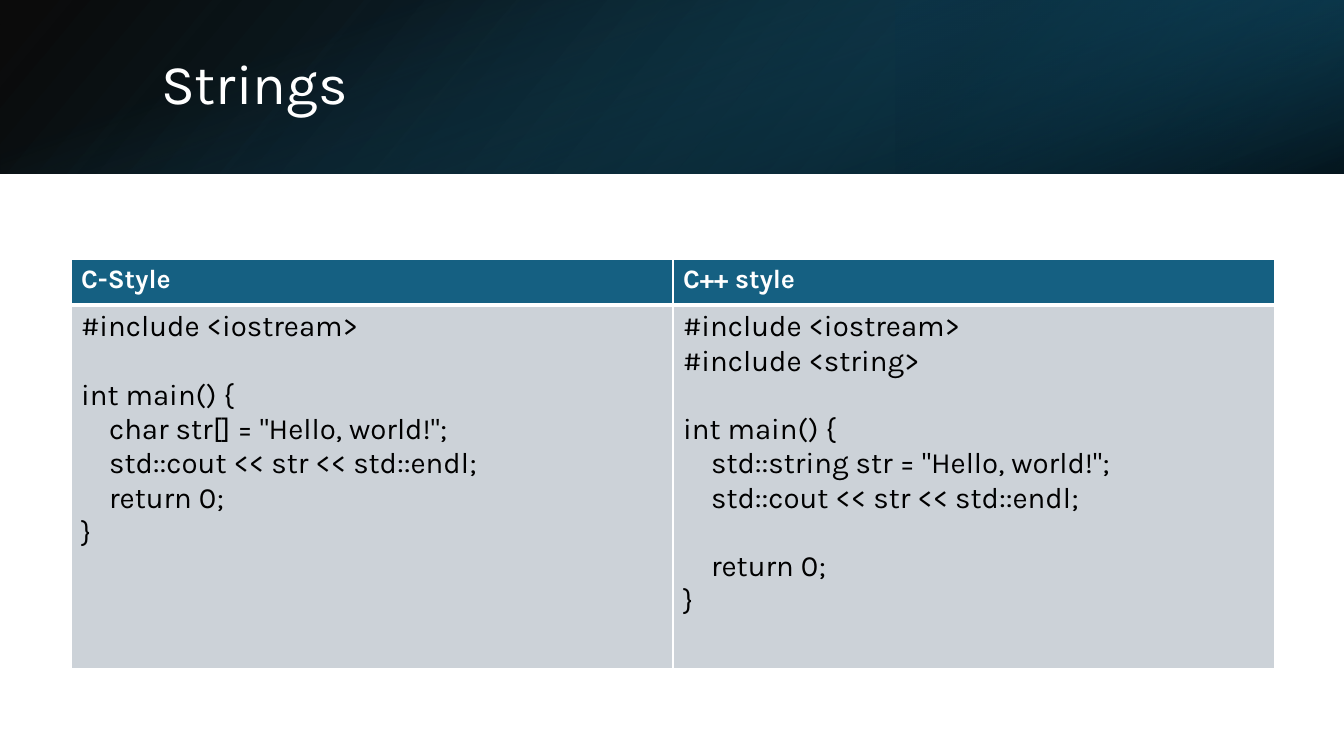
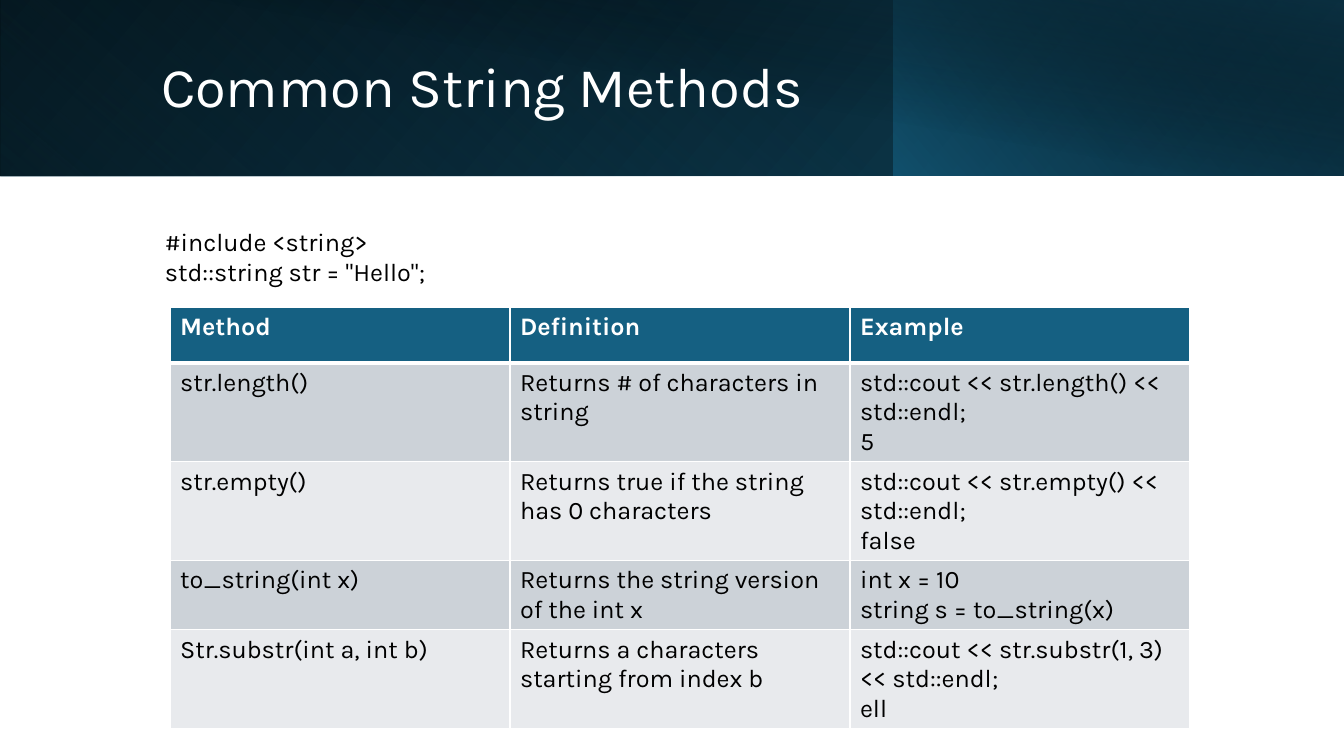
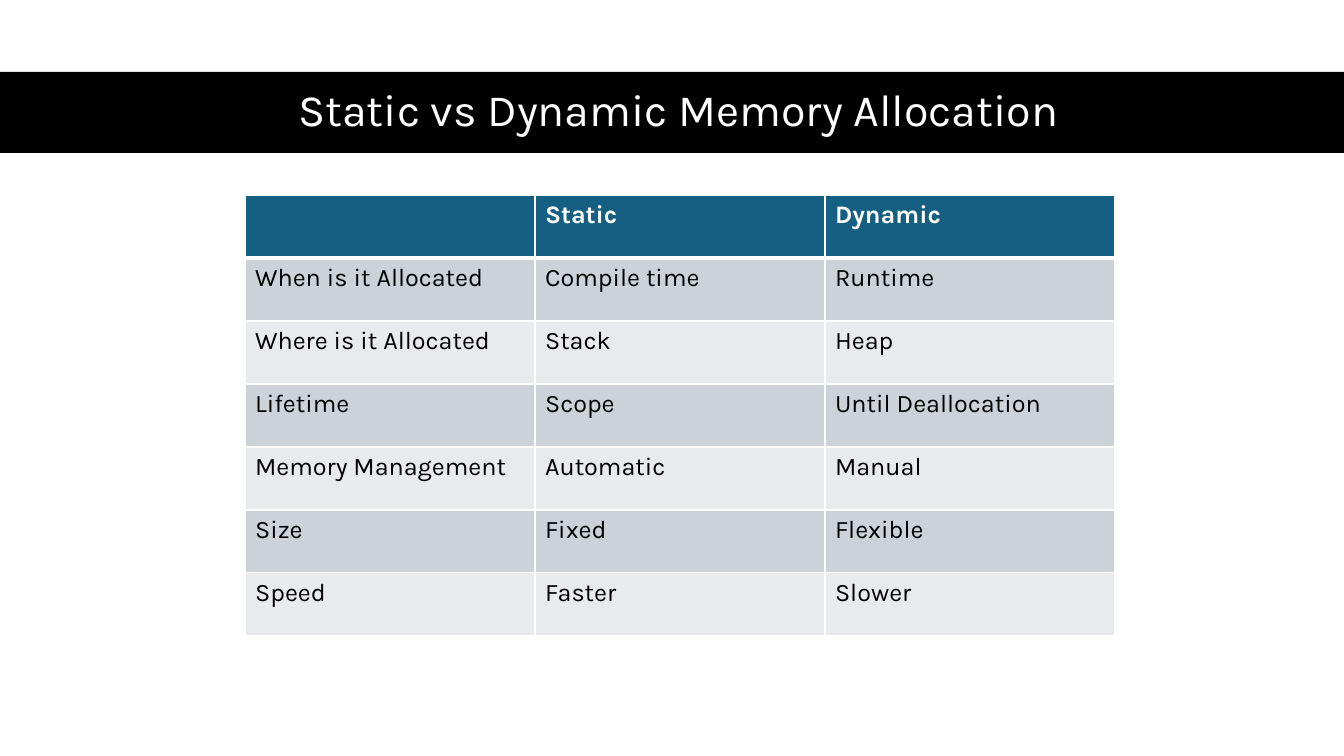
from dataclasses import dataclass
from typing import NamedTuple

from lxml import etree
from pptx import Presentation
from pptx import util as u
from pptx.dml.color import RGBColor
from pptx.enum import shapes, text
from pptx.oxml.ns import qn

PX = 914400 / 100.8
FONT = "Karla"
WHITE = RGBColor(0xFF, 0xFF, 0xFF)
BLACK = RGBColor(0x00, 0x00, 0x00)
TEAL = RGBColor(0x15, 0x60, 0x82)
DARK_TEAL = RGBColor(0x10, 0x48, 0x62)
NIGHT = RGBColor(0x0B, 0x30, 0x41)
ROW_FILLS = (RGBColor(0xCC, 0xD2, 0xD8), RGBColor(0xE8, 0xEA, 0xED))
CODE_INDENT = 28
CODE_GAP = 34
THIN, THICK = 1, 3


class Box(NamedTuple):
    left: int
    top: int
    width: int
    height: int


class Stop(NamedTuple):
    position: int
    color: RGBColor
    opacity: int = 100


class Line(NamedTuple):
    text: str
    indented: bool = False
    gap: bool = False


Cell = str | tuple[Line, ...]


@dataclass(frozen=True)
class Band:
    box: Box
    stops: tuple[Stop, ...]
    angle: int = 0
    rotation: int = 0
    flipped: bool = False


@dataclass(frozen=True)
class Title:
    text: str
    box: Box
    size: int = 40
    alignment: text.PP_ALIGN = text.PP_ALIGN.LEFT


@dataclass(frozen=True)
class Grid:
    left: int
    top: int
    column_width: int
    row_heights: tuple[int, ...]
    rows: tuple[tuple[Cell, ...], ...]
    header_size: int = 18
    body_size: int = 18


@dataclass(frozen=True)
class Page:
    title: Title
    bands: tuple[Band, ...]
    grid: Grid


def px(length: int) -> u.Emu:
    return u.Emu(round(length * PX))


def place(shape, box: Box) -> None:
    shape.left, shape.top, shape.width, shape.height = map(px, box)


def write(frame, content: Cell, size: int, color: RGBColor, bold: bool = False) -> None:
    lines = (Line(content),) if isinstance(content, str) else content
    for index, line in enumerate(lines):
        paragraph = frame.add_paragraph() if index else frame.paragraphs[0]
        paragraph.text = line.text
        font = paragraph.font
        font.name, font.size, font.bold = FONT, u.Pt(size), bold
        font.color.rgb = color
        if line.gap:
            paragraph.space_before = px(CODE_GAP)
        if line.indented:
            paragraph._p.get_or_add_pPr().set("marL", str(px(CODE_INDENT)))


def add_band(slide, band: Band) -> None:
    shape = slide.shapes.add_shape(shapes.MSO_SHAPE.RECTANGLE, *map(px, band.box))
    shape.shadow.inherit = False
    shape.line.fill.background()
    shape.rotation = band.rotation
    properties = shape._element.spPr
    if band.flipped:
        properties.find(qn("a:xfrm")).set("flipH", "1")
    if len(band.stops) == 1:
        shape.fill.solid()
        shape.fill.fore_color.rgb = band.stops[0].color
        return
    shape.fill.gradient()
    shape.fill.gradient_angle = 360 - band.angle
    for target, stop in zip(shape.fill.gradient_stops, band.stops):
        target.position = stop.position / 100
        target.color.rgb = stop.color
    colors = properties.find(qn("a:gradFill")).iter(qn("a:srgbClr"))
    for color, stop in zip(colors, band.stops):
        etree.SubElement(color, qn("a:alpha"), val=str(stop.opacity * 1000))


def add_title(slide, title: Title) -> None:
    shape = slide.shapes.title
    slide.shapes._spTree.append(shape._element)
    place(shape, title.box)
    frame = shape.text_frame
    frame.word_wrap = True
    frame.auto_size = text.MSO_AUTO_SIZE.NONE
    frame.vertical_anchor = text.MSO_ANCHOR.MIDDLE
    write(frame, title.text, title.size, WHITE)
    frame.paragraphs[0].alignment = title.alignment
    frame.paragraphs[0].line_spacing = 0.9


def add_border(cell, side: str, width: int) -> None:
    border = etree.SubElement(
        cell._tc.get_or_add_tcPr(), qn(f"a:ln{side}"), w=str(u.Pt(width))
    )
    fill = etree.SubElement(border, qn("a:solidFill"))
    etree.SubElement(fill, qn("a:srgbClr"), val=str(WHITE))


def add_grid(slide, grid: Grid) -> None:
    columns = len(grid.rows[0])
    box = Box(grid.left, grid.top, grid.column_width * columns, sum(grid.row_heights))
    table = slide.shapes.add_table(len(grid.rows), columns, *map(px, box)).table
    for column in table.columns:
        column.width = px(grid.column_width)
    for row_index, contents in enumerate(grid.rows):
        table.rows[row_index].height = px(grid.row_heights[row_index])
        header = row_index == 0
        for column_index, content in enumerate(contents):
            cell = table.cell(row_index, column_index)
            for side in "LRTB":
                thick = (header and side == "B") or (row_index == 1 and side == "T")
                add_border(cell, side, THICK if thick else THIN)
            cell.fill.solid()
            cell.fill.fore_color.rgb = TEAL if header else ROW_FILLS[(row_index - 1) % 2]
            size = grid.header_size if header else grid.body_size
            write(cell.text_frame, content, size, WHITE if header else BLACK, header)


def add_note(slide, box: Box, lines: tuple[Line, ...]) -> None:
    frame = slide.shapes.add_textbox(*map(px, box)).text_frame
    frame.word_wrap = True
    write(frame, lines, 18, BLACK)


def add_page(presentation, page: Page):
    slide = presentation.slides.add_slide(presentation.slide_layouts[5])
    for band in page.bands:
        add_band(slide, band)
    add_title(slide, page.title)
    add_grid(slide, page.grid)
    return slide


STRINGS = Page(
    Title("Strings", Box(151, 38, 1107, 97)),
    (
        Band(Box(0, 0, 1344, 174), (Stop(0, BLACK, 96), Stop(100, DARK_TEAL)), 140, flipped=True),
        Band(Box(896, 0, 448, 174), (Stop(19, NIGHT, 68), Stop(100, TEAL, 79)), 320, 180, True),
        Band(Box(585, -585, 174, 1344), (Stop(23, TEAL, 0), Stop(99, BLACK, 74)), 340, 90),
    ),
    Grid(
        71, 259, 602, (46, 364),
        (
            ("C-Style", "C++ style"),
            (
                (
                    Line("#include <iostream>"),
                    Line("int main() {", gap=True),
                    Line('char str[] = "Hello, world!";', indented=True),
                    Line("std::cout << str << std::endl;", indented=True),
                    Line("return 0;", indented=True),
                    Line("}"),
                ),
                (
                    Line("#include <iostream>"),
                    Line("#include <string>"),
                    Line("int main() {", gap=True),
                    Line('std::string str = "Hello, world!";', indented=True),
                    Line("std::cout << str << std::endl;", indented=True),
                    Line("return 0;", indented=True, gap=True),
                    Line("}"),
                ),
            ),
        ),
        header_size=19, body_size=21,
    ),
)

METHODS = Page(
    Title("Common String Methods", Box(151, 32, 1091, 114)),
    (
        Band(Box(0, 0, 1344, 176), (Stop(0, BLACK), Stop(100, DARK_TEAL)), 140, flipped=True),
        Band(Box(0, 0, 895, 176), (Stop(20, TEAL, 0), Stop(100, NIGHT, 55)), 230, 180, True),
        Band(Box(894, 0, 450, 176), (Stop(0, TEAL, 66), Stop(100, BLACK, 30)), 220, flipped=True),
        Band(Box(50, 0, 1294, 176), (Stop(50, BLACK, 0), Stop(99, NIGHT, 52)), 280),
    ),
    Grid(
        170, 307, 340, (56,) + (59,) * 4,
        (
            ("Method", "Definition", "Example"),
            (
                "str.length()",
                "Returns # of characters in string",
                (Line("std::cout << str.length() << std::endl;"), Line("5")),
            ),
            (
                "str.empty()",
                "Returns true if the string has 0 characters",
                (Line("std::cout << str.empty() << std::endl;"), Line("false")),
            ),
            (
                "to_string(int x)",
                "Returns the string version of the int x",
                (Line("int x = 10"), Line("string s = to_string(x)")),
            ),
            (
                "Str.substr(int a, int b)",
                "Returns a characters starting from index b",
                (Line("std::cout << str.substr(1, 3) << std::endl;"), Line("ell")),
            ),
        ),
    ),
)

MEMORY = Page(
    Title(
        "Static vs Dynamic Memory Allocation", Box(61, 71, 1236, 82), 32, text.PP_ALIGN.CENTER
    ),
    (Band(Box(0, 72, 1344, 81), (Stop(0, BLACK),)),),
    Grid(
        245, 195, 290, (63,) * 7,
        (
            ("", "Static", "Dynamic"),
            ("When is it Allocated", "Compile time", "Runtime"),
            ("Where is it Allocated", "Stack", "Heap"),
            ("Lifetime", "Scope", "Until Deallocation"),
            ("Memory Management", "Automatic", "Manual"),
            ("Size", "Fixed", "Flexible"),
            ("Speed", "Faster", "Slower"),
        ),
    ),
)


def main() -> None:
    presentation = Presentation()
    presentation.slide_width, presentation.slide_height = px(1344), px(756)
    add_page(presentation, STRINGS)
    methods = add_page(presentation, METHODS)
    add_note(
        methods,
        Box(155, 221, 913, 102),
        (Line("#include <string>"), Line('std::string str = "Hello";')),
    )
    add_page(presentation, MEMORY)
    presentation.save("out.pptx")


if __name__ == "__main__":
    main()
